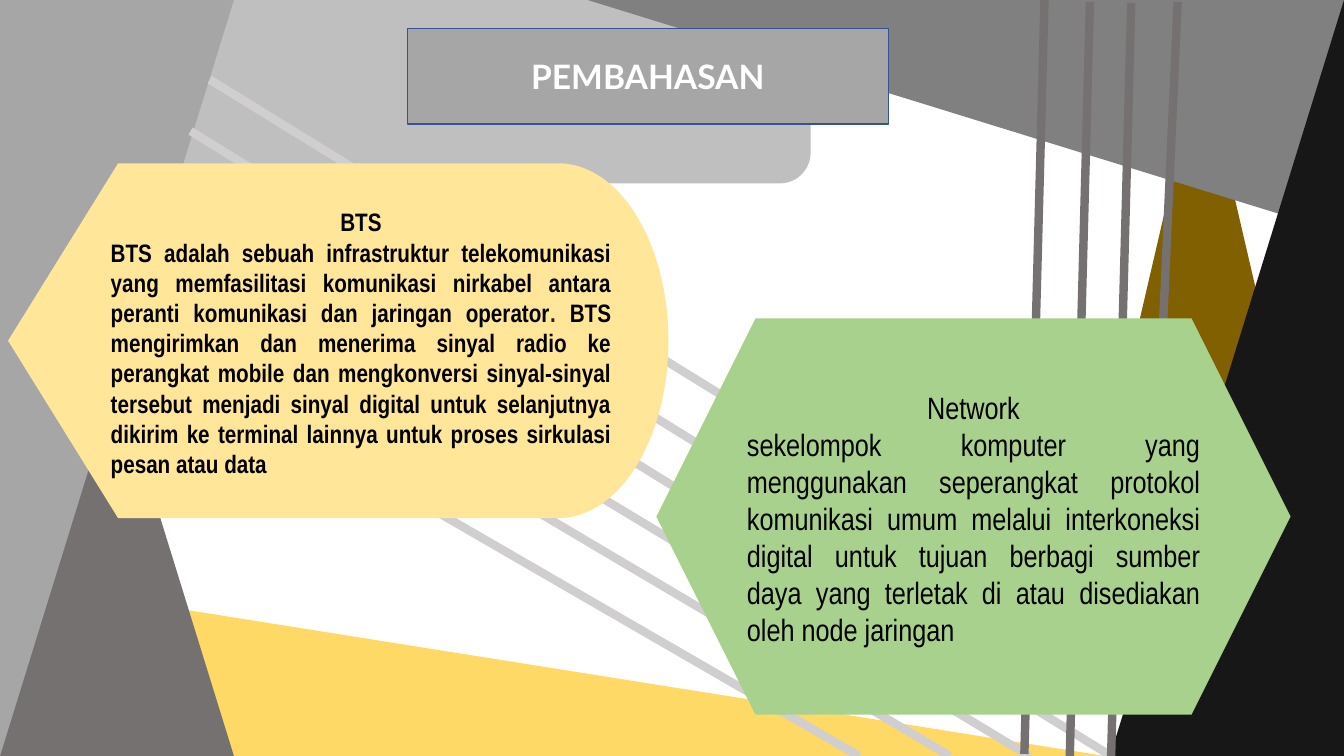
from lxml import etree
from pptx import Presentation
from pptx.dml.color import RGBColor
from pptx.enum.shapes import MSO_CONNECTOR, MSO_SHAPE
from pptx.enum.text import MSO_ANCHOR, MSO_AUTO_SIZE, PP_ALIGN
from pptx.oxml.ns import qn
from pptx.util import Inches, Pt

WIDTH, HEIGHT = 13.33, 7.5
CORNER = 2.32

WHITE = RGBColor(0xFF, 0xFF, 0xFF)
BLACK = RGBColor(0, 0, 0)
INK = RGBColor(0x20, 0x21, 0x22)
CHARCOAL = RGBColor(0x18, 0x17, 0x17)
STONE = RGBColor(0x76, 0x71, 0x71)
GREY = RGBColor(0x80, 0x80, 0x80)
MID_GREY = RGBColor(0xA6, 0xA6, 0xA6)
LIGHT_GREY = RGBColor(0xBF, 0xBF, 0xBF)
PALE_GREY = RGBColor(0xD0, 0xCE, 0xCE)
GOLD = RGBColor(0xFF, 0xD9, 0x66)
BROWN = RGBColor(0x80, 0x60, 0x00)
CREAM = RGBColor(0xFF, 0xE6, 0x99)
GREEN = RGBColor(0xA9, 0xD1, 0x8E)
BLUE = RGBColor(0x32, 0x54, 0x91)

BTS = [
    ("BTS adalah sebuah infrastruktur telekomunikasi yang memfasilitasi "
     "komunikasi nirkabel antara peranti komunikasi dan jaringan operator", BLACK),
    (". ", INK),
    ("BTS mengirimkan dan menerima sinyal radio ke perangkat mobile dan "
     "mengkonversi sinyal-sinyal tersebut menjadi sinyal digital untuk "
     "selanjutnya dikirim ke terminal lainnya untuk proses sirkulasi pesan "
     "atau data", BLACK),
]
NETWORK = [
    ("sekelompok komputer yang menggunakan seperangkat protokol komunikasi "
     "umum melalui interkoneksi digital untuk tujuan berbagi sumber daya yang "
     "terletak di atau disediakan oleh node jaringan", BLACK),
]


def add_block(s, kind, x, y, w, h, color, rotation=0, flip=False):
    sp = s.shapes.add_shape(kind, Inches(x), Inches(y), Inches(w), Inches(h))
    sp.shadow.inherit = False
    sp.fill.solid()
    sp.fill.fore_color.rgb = color
    sp.line.fill.background()
    sp.rotation = rotation
    if flip:
        sp._element.spPr.find(qn("a:xfrm")).set("flipV", "1")


def add_stripe(s, x1, y1, x2, y2, color):
    line = s.shapes.add_connector(
        MSO_CONNECTOR.STRAIGHT, Inches(x1), Inches(y1), Inches(x2), Inches(y2))
    line.line.color.rgb = color
    line.line.width = Pt(6)
    etree.SubElement(line._element.spPr, qn("a:effectLst"))


def add_backdrop(s, x, y, w, h):
    wedge = MSO_SHAPE.RIGHT_TRIANGLE
    add_block(s, wedge, x + 1.84, y + 6.05, 9.18, 1.46, GOLD)
    add_block(s, MSO_SHAPE.ISOSCELES_TRIANGLE, x + 10.6, y + 0.54, 2.63, 5.66, BROWN)
    add_block(s, MSO_SHAPE.FLOWCHART_ALTERNATE_PROCESS,
              x + 1.22, y - 0.02, 6.82, 1.84, LIGHT_GREY)
    add_block(s, wedge, x, y, CORNER, h, STONE)
    add_block(s, wedge, x, y, CORNER, h, MID_GREY, flip=True)
    add_block(s, wedge, x + w - (h + CORNER) / 2, y - (h - CORNER) / 2,
              CORNER, h, GREY, 90, True)
    add_block(s, wedge, x + w - CORNER, y, CORNER, h, CHARCOAL, 180, True)


def add_stripes(s, x, y, h):
    slope = 5.66 / 9.18
    for left, top, right in [(1.84, 1.84, 11.02), (1.89, 1.3, 11.07),
                             (2.08, 0.79, 11.25), (1.63, 2.32, 10.21),
                             (1.45, 2.78, 9.42), (1.26, 3.3, 8.52)]:
        bottom = min(h, top + (right - left) * slope)
        add_stripe(s, x + left, y + top, x + right, y + bottom, PALE_GREY)
    for top_x, top, bottom_x, bottom in [(11.68, 0.02, 11.4, 6.2),
                                         (11.22, 0.03, 11.02, 7.52),
                                         (10.81, 0.02, 10.61, 7.51),
                                         (10.36, -0.01, 10.16, 7.48)]:
        add_stripe(s, x + top_x, y + top, x + bottom_x, y + bottom, STONE)


def add_panel(s, kind, box, color, text_box, heading, body, size, bold):
    x, y, w, h = box
    add_block(s, kind, x, y, w, h, color)
    dx, dy, tw, th = text_box
    tb = s.shapes.add_textbox(Inches(x + dx), Inches(y + dy), Inches(tw), Inches(th))
    tf = tb.text_frame
    tf.word_wrap = True
    tf.auto_size = MSO_AUTO_SIZE.SHAPE_TO_FIT_TEXT
    paragraphs = [(tf.paragraphs[0], PP_ALIGN.CENTER, [(heading, BLACK)]),
                  (tf.add_paragraph(), PP_ALIGN.JUSTIFY, body)]
    for p, align, runs in paragraphs:
        p.alignment = align
        for text, ink in runs:
            r = p.add_run()
            r.text = text
            r.font.name = "Arial Narrow"
            r.font.size = Pt(size)
            r.font.bold = bold
            r.font.color.rgb = ink


def add_title(s, x, y, w, h):
    title = s.shapes.title
    title.left, title.top = Inches(x), Inches(y)
    title.width, title.height = Inches(w), Inches(h)
    title.fill.solid()
    title.fill.fore_color.rgb = MID_GREY
    title.line.color.rgb = BLUE
    title.line.width = Pt(1)
    tf = title.text_frame
    tf.text = "PEMBAHASAN"
    tf.auto_size = MSO_AUTO_SIZE.NONE
    tf.vertical_anchor = MSO_ANCHOR.MIDDLE
    p = tf.paragraphs[0]
    p.alignment = PP_ALIGN.CENTER
    p.line_spacing = 1.0
    font = p.runs[0].font
    font.name, font.size, font.bold = "Lato", Pt(24), True
    font.color.rgb = WHITE
    title._element.getparent().append(title._element)


def main():
    prs = Presentation()
    prs.slide_width, prs.slide_height = Inches(WIDTH), Inches(HEIGHT)
    s = prs.slides.add_slide(prs.slide_layouts[5])
    s.background.fill.solid()
    s.background.fill.fore_color.rgb = WHITE
    add_backdrop(s, 0, 0, WIDTH, HEIGHT)
    add_stripes(s, 0, 0, HEIGHT)
    add_panel(s, MSO_SHAPE.FLOWCHART_DISPLAY, (0.08, 1.62, 6.55, 3.52), CREAM,
              (0.92, 0.38, 5.16, 2.52), "BTS", BTS, 18, True)
    add_panel(s, MSO_SHAPE.HEXAGON, (6.51, 3.16, 6.29, 3.93), GREEN,
              (0.8, 0.65, 4.69, 2.32), "Network", NETWORK, 22, False)
    add_title(s, 4.04, 0.28, 4.77, 0.95)
    prs.save("out.pptx")


if __name__ == "__main__":
    main()
